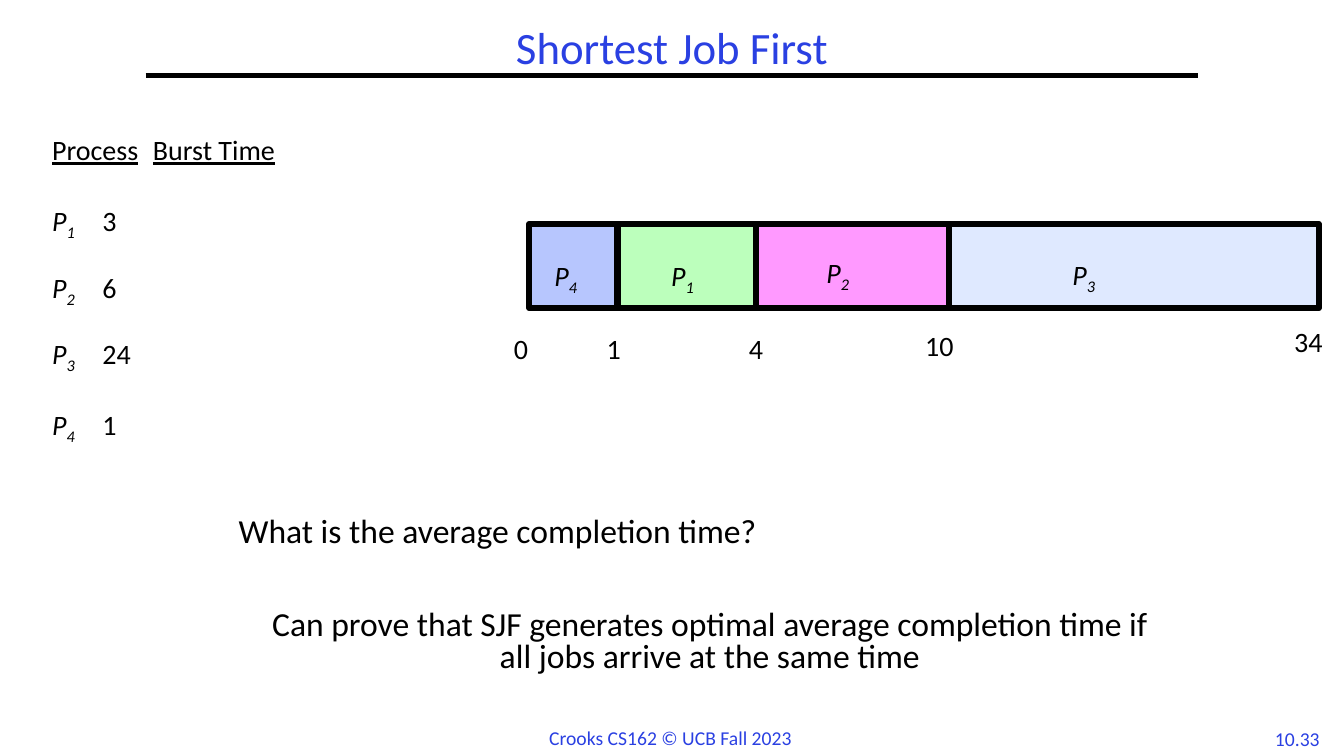
from dataclasses import dataclass

import lxml.etree
import pptx
import pptx.dml.color
import pptx.enum.shapes
import pptx.enum.text
import pptx.oxml.ns
import pptx.util

Pt = pptx.util.Pt
Align = pptx.enum.text.PP_ALIGN
COLORS = {
    "blue": "2A40E2",
    "black": "000000",
    "P1": "BCFFBC",
    "P2": "FF99FF",
    "P3": "DFE9FF",
    "P4": "B7C6FE",
}
GANTT_LEFT, GANTT_TOP, GANTT_HEIGHT = 378, 160, 60
LABEL_WIDTH, LABEL_HEIGHT = 42, 24


@dataclass
class Process:
    number: str
    burst: str
    space_before: float
    tab: float


@dataclass
class Job:
    number: str
    width: float
    label_left: float
    label_top: float


@dataclass
class Label:
    text: str
    left: float
    top: float
    width: float = LABEL_WIDTH
    height: float = LABEL_HEIGHT
    size: float = 20
    color: str = "black"
    align: Align = Align.LEFT
    spacing: float = 0.8
    wrap: bool = True


PROCESSES = [
    Process("1", "3", 29, 72),
    Process("2", "6", 26, 72),
    Process("3", "24", 25.5, 75),
    Process("4", "1", 29, 75),
]
JOBS = [
    Job("4", 63, 389, 183.6),
    Job("1", 99, 472.3, 183.6),
    Job("2", 138, 583.2, 181.4),
    Job("3", 264, 759, 183),
]
LABELS = [
    Label("0", 360, 237.6),
    Label("1", 426.2, 237.6),
    Label("4", 527.8, 237.6),
    Label("10", 653.8, 235.4),
    Label("34", 917.3, 232.6),
    Label("What is the average completion time?", 163.4, 366.5, 654, 36, 24),
    Label("Can prove that SJF generates optimal average completion time if "
          "all jobs arrive at the same time", 180, 432.7, 654, 60, 24, align=Align.CENTER),
    Label("Crooks CS162 © UCB Fall 2023", 385.2, 514.8, 189.4, 24.2, 14, "blue",
          spacing=1, wrap=False),
    Label("10.33", 902.2, 515.5, 49, 24, 14, "blue", Align.CENTER, 1, False),
]


def rgb(name: str) -> pptx.dml.color.RGBColor:
    return pptx.dml.color.RGBColor.from_string(COLORS[name])


def add_run(paragraph, text: str, size: float = 20, color: str = "black",
            italic: bool = False, underline: bool = False, subscript: bool = False) -> None:
    run = paragraph.add_run()
    run.text = text
    run.font.name = "Calibri"
    run.font.size = Pt(size)
    run.font.color.rgb = rgb(color)
    run.font.italic = italic
    run.font.underline = underline
    if subscript:
        run.font._element.set("baseline", "-25000")


def add_process_name(paragraph, number: str) -> None:
    add_run(paragraph, "P", italic=True)
    add_run(paragraph, number, italic=True, subscript=True)


def place(shape, left: float, top: float, width: float, height: float) -> None:
    shape.left, shape.top = Pt(left), Pt(top)
    shape.width, shape.height = Pt(width), Pt(height)


def add_text_box(slide, left: float, top: float, width: float = LABEL_WIDTH,
                 height: float = LABEL_HEIGHT, spacing: float = 0.8, wrap: bool = True):
    box = slide.shapes.add_textbox(Pt(left), Pt(top), Pt(width), Pt(height))
    box.text_frame.word_wrap = wrap
    paragraph = box.text_frame.paragraphs[0]
    paragraph.line_spacing = spacing
    return paragraph


def add_label(slide, label: Label) -> None:
    paragraph = add_text_box(slide, label.left, label.top, label.width, label.height,
                             label.spacing, label.wrap)
    paragraph.alignment = label.align
    add_run(paragraph, label.text, label.size, label.color)


def format_row(paragraph, tab: float, space_before: float) -> None:
    properties = paragraph._p.get_or_add_pPr()
    properties.set("marL", "0")
    properties.set("indent", "0")
    qn = pptx.oxml.ns.qn
    lxml.etree.SubElement(properties, qn("a:buNone"))
    tabs = lxml.etree.SubElement(properties, qn("a:tabLst"))
    lxml.etree.SubElement(tabs, qn("a:tab"), pos=str(int(Pt(tab))), algn="l")
    paragraph.line_spacing = 0.8
    paragraph.space_before = Pt(space_before)


def add_title(slide) -> None:
    title = slide.shapes.title
    place(title, 0, 18, 960, 36)
    frame = title.text_frame
    frame.auto_size = pptx.enum.text.MSO_AUTO_SIZE.NONE
    frame.vertical_anchor = pptx.enum.text.MSO_ANCHOR.MIDDLE
    paragraph = frame.paragraphs[0]
    paragraph.alignment = Align.CENTER
    paragraph.line_spacing = 0.9
    add_run(paragraph, "Shortest Job First", 32, "blue")

    rule = slide.shapes.add_connector(
        pptx.enum.shapes.MSO_CONNECTOR.STRAIGHT, Pt(104), Pt(54), Pt(856), Pt(54))
    rule.line.color.rgb = rgb("black")
    rule.line.width = Pt(3)
    lxml.etree.SubElement(rule._element.spPr, pptx.oxml.ns.qn("a:effectLst"))


def add_process_list(slide) -> None:
    body = slide.placeholders[1]
    place(body, 30, 96, 363, 204)
    frame = body.text_frame
    frame.auto_size = pptx.enum.text.MSO_AUTO_SIZE.NONE
    header = frame.paragraphs[0]
    format_row(header, 72, 0)
    add_run(header, "Process", underline=True)
    add_run(header, "\t")
    add_run(header, "Burst Time", underline=True)
    for process in PROCESSES:
        paragraph = frame.add_paragraph()
        format_row(paragraph, process.tab, process.space_before)
        add_process_name(paragraph, process.number)
        add_run(paragraph, "\t" + process.burst)


def add_gantt(slide) -> None:
    left = GANTT_LEFT
    for job in JOBS:
        bar = slide.shapes.add_shape(
            pptx.enum.shapes.MSO_SHAPE.RECTANGLE,
            Pt(left), Pt(GANTT_TOP), Pt(job.width), Pt(GANTT_HEIGHT))
        bar.shadow.inherit = False
        bar.fill.solid()
        bar.fill.fore_color.rgb = rgb("P" + job.number)
        bar.line.color.rgb = rgb("black")
        bar.line.width = Pt(4.5)
        left += job.width
        add_process_name(add_text_box(slide, job.label_left, job.label_top), job.number)


def main() -> None:
    presentation = pptx.Presentation()
    presentation.slide_width, presentation.slide_height = Pt(960), Pt(540)
    slide = presentation.slides.add_slide(presentation.slide_layouts[1])
    add_title(slide)
    add_process_list(slide)
    add_gantt(slide)
    for label in LABELS:
        add_label(slide, label)
    presentation.save("out.pptx")


if __name__ == "__main__":
    main()
